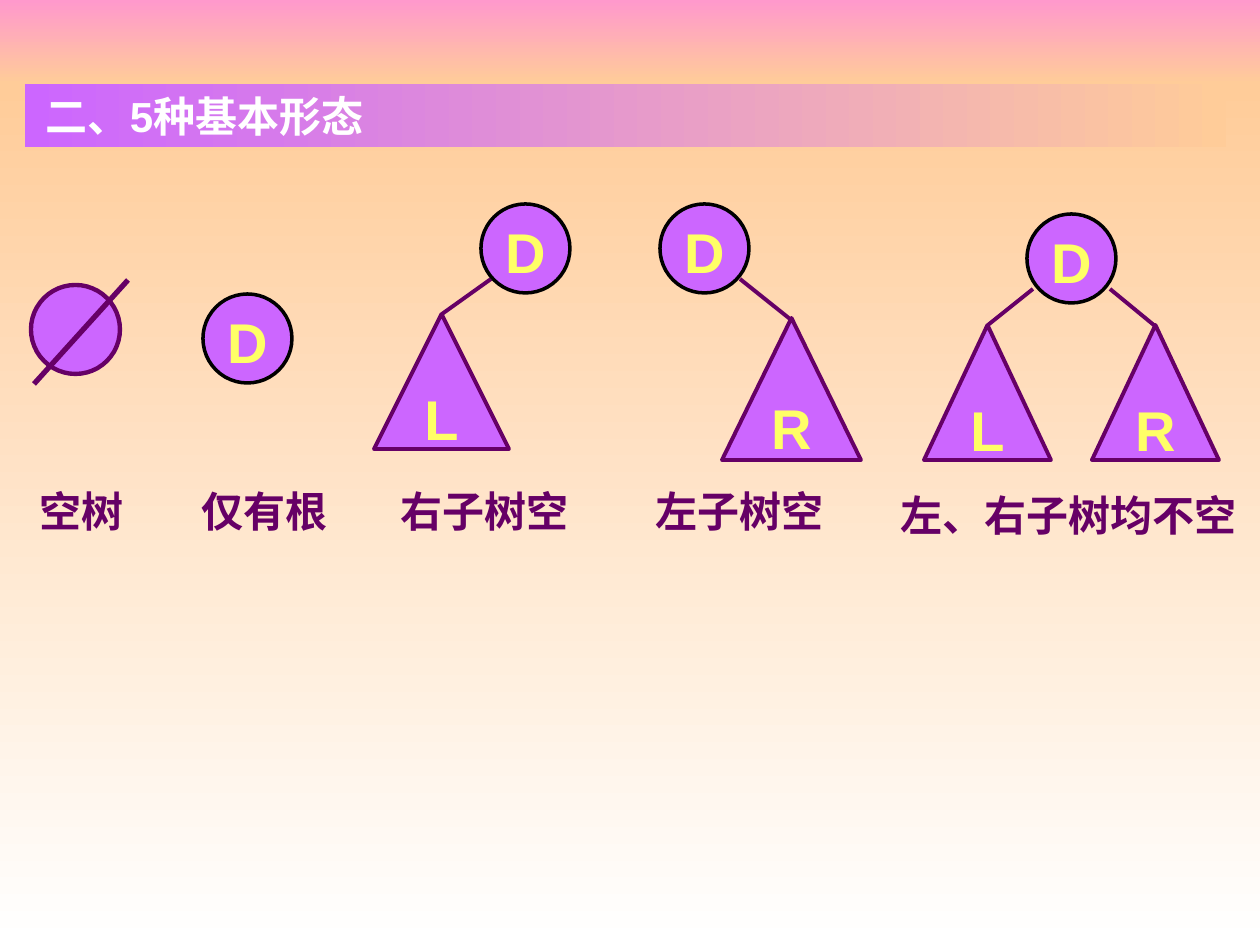
import dataclasses

import lxml.etree
import pptx
import pptx.dml.color
import pptx.enum.shapes
import pptx.enum.text
import pptx.oxml.ns
import pptx.util

SHAPE = pptx.enum.shapes.MSO_SHAPE
ALIGN = pptx.enum.text.PP_ALIGN
EMU_PER_PX = 914400 / 126
PAGE_WIDTH, PAGE_HEIGHT = 1260, 945
NODE_SIZE = 89


@dataclasses.dataclass(frozen=True)
class Theme:
    pink: str = "FF99CC"
    peach: str = "FFCC99"
    white: str = "FFFFFF"
    violet: str = "CC66FF"
    purple: str = "660066"
    yellow: str = "FFFF66"
    black: str = "000000"
    latin: str = "Arial"
    chinese: str = "Noto Sans CJK SC"
    heading_size: int = 24
    letter_size: int = 32
    edge_width: float = 2.25
    node_width: float = 2
    empty_width: float = 2.5
    slash_width: float = 3
    base_width: float = 0.75


THEME = Theme()


def px(length):
    return pptx.util.Emu(round(length * EMU_PER_PX))


def rgb(value):
    return pptx.dml.color.RGBColor.from_string(value)


def write_text(shape, text, *, size=THEME.heading_size, color=THEME.purple,
               font=THEME.chinese, align=ALIGN.CENTER, wrap=True,
               left=12, top=0, bottom=0):
    frame = shape.text_frame
    frame.auto_size = pptx.enum.text.MSO_AUTO_SIZE.NONE
    frame.word_wrap = wrap
    frame.vertical_anchor = pptx.enum.text.MSO_ANCHOR.MIDDLE
    frame.margin_left, frame.margin_right = px(left), px(12)
    frame.margin_top, frame.margin_bottom = px(top), px(bottom)
    para = frame.paragraphs[0]
    para.alignment = align
    span = para.add_run()
    span.text = text
    span.font.size = pptx.util.Pt(size)
    span.font.bold = True
    span.font.color.rgb = rgb(color)
    span.font.name = font
    east_asian = lxml.etree.SubElement(
        span.font._element, pptx.oxml.ns.qn("a:ea"))
    east_asian.set("typeface", THEME.chinese)


def fill_gradient(shape, start, end, angle):
    """Blend two colours; the angle runs counter-clockwise."""
    shape.fill.gradient()
    shape.fill.gradient_angle = angle
    for stop, color in zip(shape.fill.gradient_stops, (start, end)):
        stop.color.rgb = rgb(color)
    shape.line.fill.background()


def add_backdrop(page, top, height, start, end):
    band = page.shapes.add_shape(
        SHAPE.RECTANGLE, 0, px(top), px(PAGE_WIDTH), px(height))
    band.shadow.inherit = False
    fill_gradient(band, start, end, 270)


def add_title(page, text):
    title = page.shapes.title
    title.left, title.top = px(25), px(84)
    title.width, title.height = px(1201), px(63)
    fill_gradient(title, THEME.violet, THEME.peach, 0)
    write_text(title, text, color=THEME.white, font=THEME.latin,
               align=ALIGN.LEFT, left=21)
    # Bring the title in front of the backdrop
    title.element.getparent().append(title.element)


def add_label(page, text, left, top, width):
    box = page.shapes.add_textbox(px(left), px(top), px(width), px(63))
    write_text(box, text)


def add_part(page, kind, left, top, width, height, line_color, line_width,
             letter=None):
    part = page.shapes.add_shape(
        kind, px(left), px(top), px(width), px(height))
    part.shadow.inherit = False
    part.fill.solid()
    part.fill.fore_color.rgb = rgb(THEME.violet)
    part.line.color.rgb = rgb(line_color)
    part.line.width = pptx.util.Pt(line_width)
    if letter:
        write_text(part, letter, size=THEME.letter_size, color=THEME.yellow,
                   font=THEME.latin, wrap=False, top=12, bottom=6)


def add_root(page, left, top):
    add_part(page, SHAPE.OVAL, left, top, NODE_SIZE, NODE_SIZE,
             THEME.black, THEME.node_width, "D")


def add_subtree(page, letter, left, top, width, height):
    add_part(page, SHAPE.ISOSCELES_TRIANGLE, left, top, width, height,
             THEME.purple, THEME.edge_width, letter)


def add_line(page, start, end, width=THEME.edge_width):
    line = page.shapes.add_connector(
        pptx.enum.shapes.MSO_CONNECTOR.STRAIGHT,
        *(px(value) for value in (*start, *end)))
    line.line.color.rgb = rgb(THEME.purple)
    line.line.width = pptx.util.Pt(width)
    lxml.etree.SubElement(
        line.element.spPr, pptx.oxml.ns.qn("a:effectLst"))


def add_empty_tree(page, left, top):
    add_part(page, SHAPE.OVAL, left, top, NODE_SIZE, NODE_SIZE,
             THEME.purple, THEME.empty_width)
    add_line(page, (left + 97, top - 5), (left + 3, top + 99),
             THEME.slash_width)


def main():
    deck = pptx.Presentation()
    deck.slide_width, deck.slide_height = px(PAGE_WIDTH), px(PAGE_HEIGHT)
    page = deck.slides.add_slide(deck.slide_layouts.get_by_name("Title Only"))

    add_backdrop(page, 0, 84, THEME.pink, THEME.peach)
    add_backdrop(page, 84, PAGE_HEIGHT - 84, THEME.peach, THEME.white)
    add_title(page, "二、5种基本形态")

    for text, left, top, width in (
            ("空树", 21, 479, 122),
            ("仅有根", 178, 479, 174),
            ("右子树空", 378, 479, 213),
            ("左子树空", 630, 479, 219),
            ("左、右子树均不空", 877, 483, 383)):
        add_label(page, text, left, top, width)

    for letter, left, top, width, height in (
            ("L", 374, 314, 135, 135),
            ("R", 722, 318, 139, 142),
            ("L", 924, 325, 127, 135),
            ("R", 1092, 325, 127, 135)):
        add_subtree(page, letter, left, top, width, height)

    for start, end in (
            ((491, 279), (442, 314)),
            ((740, 279), (790, 319)),
            ((1033, 289), (988, 325)),
            ((1110, 289), (1155, 326))):
        add_line(page, start, end)
    add_line(page, (932, 460), (1042, 460), THEME.base_width)

    add_empty_tree(page, 31, 285)
    for left, top in ((203, 294), (481, 204), (660, 204), (1027, 214)):
        add_root(page, left, top)

    deck.save("out.pptx")


if __name__ == "__main__":
    main()
